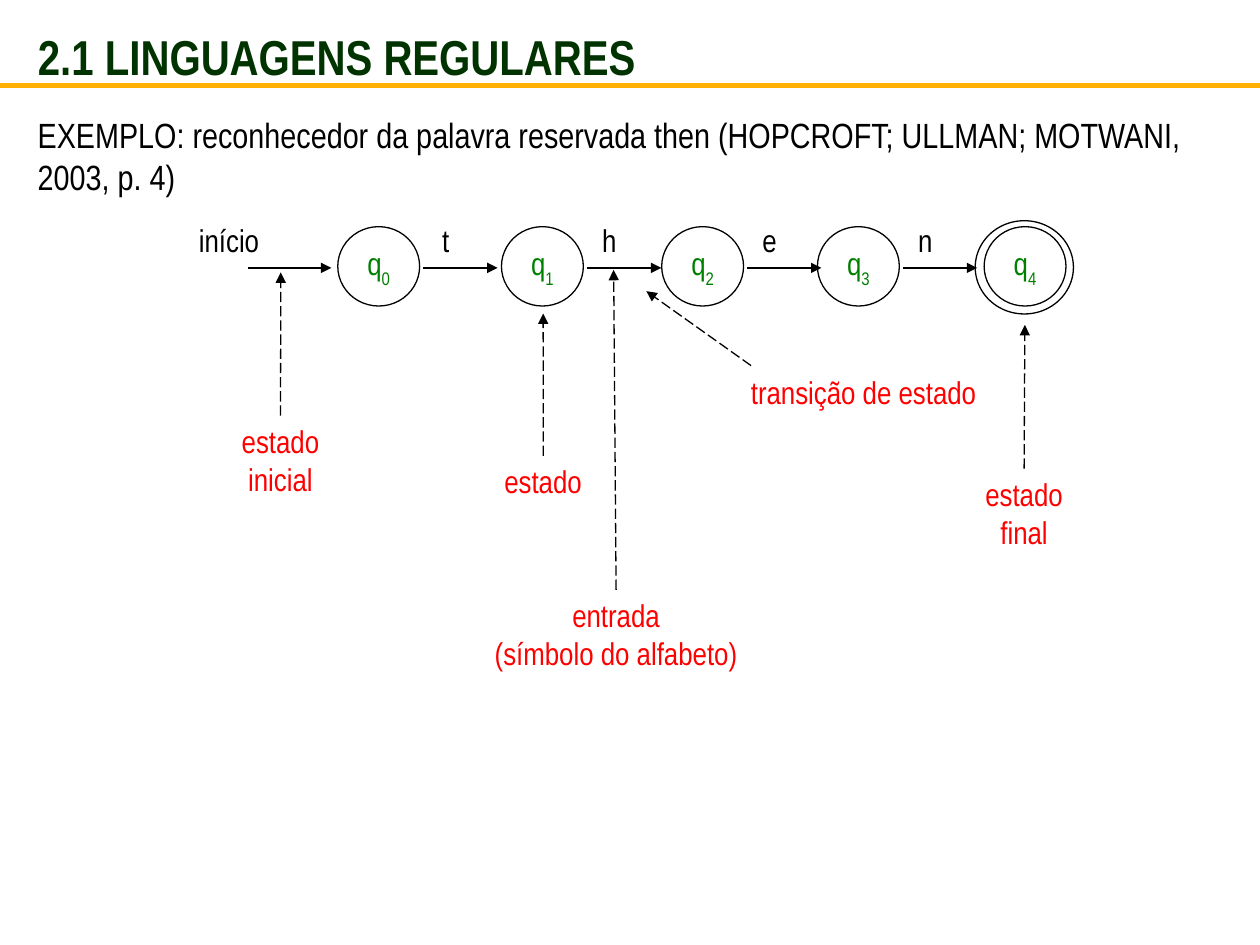
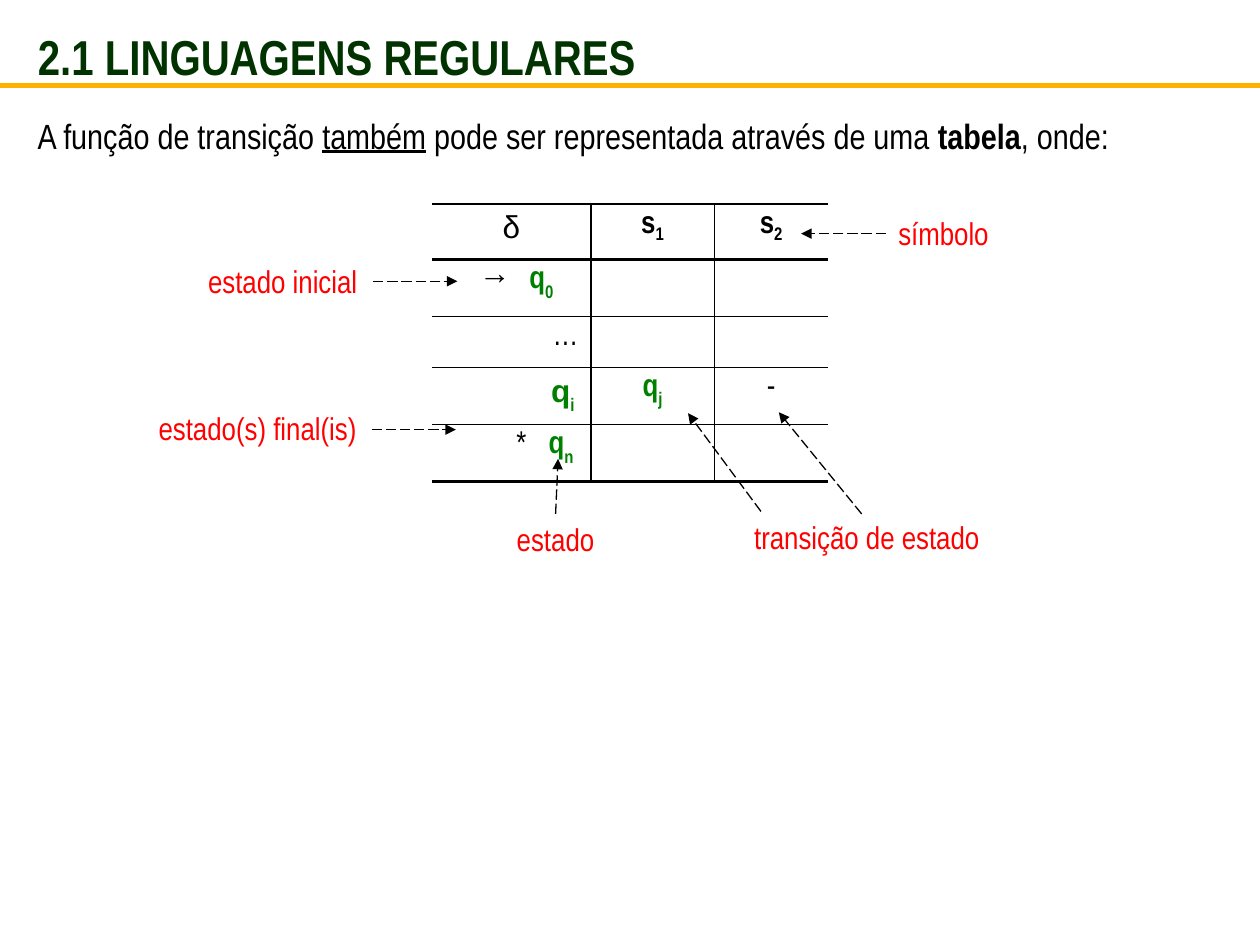
from lxml import etree
from pptx import Presentation
from pptx.dml.color import RGBColor
from pptx.enum.dml import MSO_LINE
from pptx.enum.shapes import MSO_CONNECTOR, MSO_SHAPE
from pptx.enum.text import MSO_ANCHOR, MSO_AUTO_SIZE, PP_ALIGN
from pptx.oxml.ns import qn
from pptx.util import Cm, Pt

LEFT, CENTER, RIGHT = PP_ALIGN.LEFT, PP_ALIGN.CENTER, PP_ALIGN.RIGHT
TOP, MIDDLE = MSO_ANCHOR.TOP, MSO_ANCHOR.MIDDLE
STRAIGHT = MSO_CONNECTOR.STRAIGHT
OVAL = MSO_SHAPE.OVAL
LONG_DASH = MSO_LINE.LONG_DASH
NO_AUTOFIT = MSO_AUTO_SIZE.NONE

FONT = "Arial Narrow"
BLACK, WHITE, RED = "000000", "FFFFFF", "FF0000"
STATE_GREEN, TITLE_GREEN, AMBER = "008000", "003300", "FFB000"
TITLE = "2.1 LINGUAGENS REGULARES"
MARGIN, CONTENT_WIDTH = 0.51, 24.36
TOP_SIDE = 0


def color(value):
    return RGBColor.from_string(value)


# Text

def add_span(para, text, size=18, fill=BLACK, font=FONT, bold=False,
             underline=False, baseline=0):
    span = para.add_run()
    span.text = text
    span.font.size = Pt(size)
    span.font.name = font
    span.font.bold = bold
    span.font.underline = underline
    span.font.color.rgb = color(fill)
    if baseline:
        span.font._element.set("baseline", str(baseline * 1000))


def add_indexed(para, letter, index, baseline=-30, index_font=FONT, **style):
    """A symbol followed by its subscript."""
    add_span(para, letter, **style)
    add_span(para, index, baseline=baseline, **{**style, "font": index_font})


def add_text(slide, left, top, width, height, align=LEFT, anchor=TOP):
    """An empty text box; returns the box and its first paragraph."""
    box = slide.shapes.add_textbox(Cm(left), Cm(top), Cm(width), Cm(height))
    frame = box.text_frame
    frame.word_wrap = True
    frame.vertical_anchor = anchor
    para = frame.paragraphs[0]
    para.alignment = align
    return box, para


def add_label(slide, lines, left, top, width, height, fill=RED, align=CENTER):
    box, para = add_text(slide, left, top, width, height, align)
    first, *others = lines.split("\n")
    add_span(para, first, fill=fill)
    for line in others:
        para = box.text_frame.add_paragraph()
        para.alignment = align
        add_span(para, line, fill=fill)
    return box


# Lines and states

def add_line(slide, start, end, fill=BLACK, width=0.75, dashed=False, arrow=True):
    line = slide.shapes.add_connector(STRAIGHT, *map(Cm, start + end))
    line.line.color.rgb = color(fill)
    line.line.width = Pt(width)
    if dashed:
        line.line.dash_style = LONG_DASH
    properties = line._element.spPr
    if arrow:
        etree.SubElement(properties.find(qn("a:ln")), qn("a:tailEnd"), type="triangle")
    etree.SubElement(properties, qn("a:effectLst"))
    return line


def add_pointing_label(slide, lines, left, top, width, height, target):
    """A red label with a dashed arrow rising from its top side."""
    box = add_label(slide, lines, left, top, width, height)
    line = add_line(slide, (left + width / 2, top), target, dashed=True)
    line.begin_connect(box, TOP_SIDE)


def add_circle(slide, left, top, width, height):
    circle = slide.shapes.add_shape(OVAL, Cm(left), Cm(top), Cm(width), Cm(height))
    circle.shadow.inherit = False
    circle.fill.solid()
    circle.fill.fore_color.rgb = color(WHITE)
    circle.line.color.rgb = color(BLACK)
    circle.line.width = Pt(0.75)
    return circle


def add_state(slide, left, index):
    frame = add_circle(slide, left, 4.57, 1.65, 1.6).text_frame
    frame.word_wrap = False
    frame.vertical_anchor = TOP
    para = frame.paragraphs[0]
    para.alignment = CENTER
    add_indexed(para, "q", str(index), fill=STATE_GREEN)


# Table

def set_borders(cell, **widths):
    """Widths in points by side; a side of width 0 has no line."""
    properties = cell._tc.get_or_add_tcPr()
    for side in "LRTB":
        width = widths[side]
        border = etree.SubElement(properties, qn(f"a:ln{side}"), w=str(Pt(width)))
        if width:
            paint = etree.SubElement(border, qn("a:solidFill"))
            etree.SubElement(paint, qn("a:srgbClr"), val=BLACK)
        else:
            etree.SubElement(border, qn("a:noFill"))


def start_cell(cell, align=CENTER, left=0.25, right=0.25, tab=None):
    cell.margin_left, cell.margin_right = Cm(left), Cm(right)
    para = cell.text_frame.paragraphs[0]
    para.alignment = align
    if tab:
        stops = etree.SubElement(para._p.get_or_add_pPr(), qn("a:tabLst"))
        etree.SubElement(stops, qn("a:tab"), pos=str(Cm(tab)), algn="l")
    return para


def add_grid(slide, left, top, column_widths, row_height, row_count, rules):
    """A table without fills; rules holds the horizontal line widths."""
    last = len(column_widths) - 1
    frame = slide.shapes.add_table(
        row_count, last + 1, Cm(left), Cm(top),
        Cm(sum(column_widths)), Cm(row_height * row_count))
    table = frame.table
    table.first_row = table.horz_banding = False
    for column, width in zip(table.columns, column_widths):
        column.width = Cm(width)
    for row_index, row in enumerate(table.rows):
        row.height = Cm(row_height)
        for column_index, cell in enumerate(row.cells):
            set_borders(cell, L=int(column_index > 0), R=int(column_index < last),
                        T=rules[row_index], B=rules[row_index + 1])
            cell.fill.background()
            cell.text_frame.paragraphs[0].font.size = Pt(18)
    return table


# Slides

def add_titled_slide(deck):
    slide = deck.slides.add_slide(deck.slide_layouts[5])
    title = slide.shapes.title
    title.left, title.top = Cm(MARGIN), Cm(0.28)
    title.width, title.height = Cm(CONTENT_WIDTH), Cm(1.7)
    frame = title.text_frame
    frame.auto_size = NO_AUTOFIT
    frame.vertical_anchor = MIDDLE
    para = frame.paragraphs[0]
    para.alignment = LEFT
    add_span(para, TITLE, size=28, fill=TITLE_GREEN, bold=True)
    add_line(slide, (0, 1.73), (25.4, 1.73), AMBER, width=3, arrow=False)
    return slide


def build_automaton(deck):
    slide = add_titled_slide(deck)
    _, para = add_text(slide, MARGIN, 2.16, CONTENT_WIDTH, 1.96, anchor=MIDDLE)
    add_span(para, "EXEMPLO: reconhecedor da palavra reservada then "
                   "(HOPCROFT; ULLMAN; MOTWANI, 2003, p. 4)", size=20)

    # Chain of states, the last one with a double ring
    axis = 5.4
    add_label(slide, "início", 3.76, 4.34, 2.39, 1.22, BLACK, LEFT)
    add_line(slide, (5.0, axis), (6.68, axis))
    add_circle(slide, 19.66, 4.45, 1.98, 1.88)
    state_lefts = [6.81, 10.11, 13.34, 16.48, 19.84]
    for index, left in enumerate(state_lefts):
        add_state(slide, left, index)
    for letter, left in zip("then", state_lefts):
        add_label(slide, letter, left + 1.63, 4.34, 1.09, 0.97, BLACK)
        add_line(slide, (left + 1.72, axis), (left + 3.22, axis))

    # Explanations
    for label in (
        ("estado inicial", 4.36, 8.38, 2.59, 1.6, (5.66, 5.49)),
        ("estado", 9.59, 9.19, 2.72, 1.17, (10.95, 6.32)),
        ("entrada\n(símbolo do alfabeto)", 8.61, 11.89, 7.62, 1.68, (12.37, 5.44)),
        ("estado final", 19.35, 9.45, 2.59, 1.6, (20.66, 6.55)),
    ):
        add_pointing_label(slide, *label)
    add_label(slide, "transição de estado", 13.79, 7.39, 7.24, 1.42)
    add_line(slide, (15.14, 7.37), (13.03, 5.87), dashed=True)


def build_transition_table(deck):
    slide = add_titled_slide(deck)
    _, para = add_text(slide, MARGIN, 2.18, CONTENT_WIDTH, 1.12)
    add_span(para, "A função de transição ", size=20)
    add_span(para, "também", size=20, underline=True)
    add_span(para, " pode ser representada através de uma ", size=20)
    add_span(para, "tabela", size=20, bold=True)
    add_span(para, ", onde:", size=20)

    # Transition table
    table = add_grid(slide, 8.71, 4.11, [3.2, 2.49, 2.29], 1.02, 5,
                     rules=[1, 2, 1, 1, 1, 2])
    green = {"fill": STATE_GREEN, "bold": True}
    add_span(start_cell(table.cell(0, 0)), "δ", font="Arial")
    for column in (1, 2):
        add_indexed(start_cell(table.cell(0, column)), "s", str(column),
                    baseline=-25, bold=True)
    for row, mark, index, left, tab in ((1, "→", "0", 0.95, 1.01),
                                        (4, "*", "n", 1.7, 0.65)):
        para = start_cell(table.cell(row, 0), LEFT, left, right=0, tab=tab)
        add_span(para, mark + "\t")
        add_indexed(para, "q", index, **green)
    add_span(start_cell(table.cell(2, 0), RIGHT), "…")
    add_indexed(start_cell(table.cell(3, 0), RIGHT, right=0.33), "q", "i",
                font="Arial", **green)
    add_indexed(start_cell(table.cell(3, 1)), "q", "j", **green)
    add_span(start_cell(table.cell(3, 2)), "-")

    # Explanations around the table
    add_pointing_label(slide, "estado", 9.75, 10.36, 2.9, 0.81, (11.25, 9.25))
    for label in (
        ("símbolo", 16.66, 4.19, 4.72, 1.4),
        ("transição de estado", 14.15, 10.31, 6.65, 1.12),
        ("estado inicial", 3.12, 5.16, 5.16, 0.86),
        ("estado(s) final(is)", 2.67, 8.13, 5.05, 1.17),
    ):
        add_label(slide, *label)
    for start, end in (
        ((17.86, 4.71), (16.15, 4.71)),
        ((17.37, 10.36), (15.7, 8.31)),
        ((15.34, 10.31), (13.87, 8.33)),
        ((7.52, 5.67), (9.22, 5.67)),
        ((7.49, 8.66), (9.19, 8.66)),
    ):
        add_line(slide, start, end, dashed=True)


def main():
    deck = Presentation()
    deck.slide_width, deck.slide_height = Cm(25.4), Cm(19.05)
    build_automaton(deck)
    build_transition_table(deck)
    deck.save("out.pptx")


if __name__ == "__main__":
    main()
